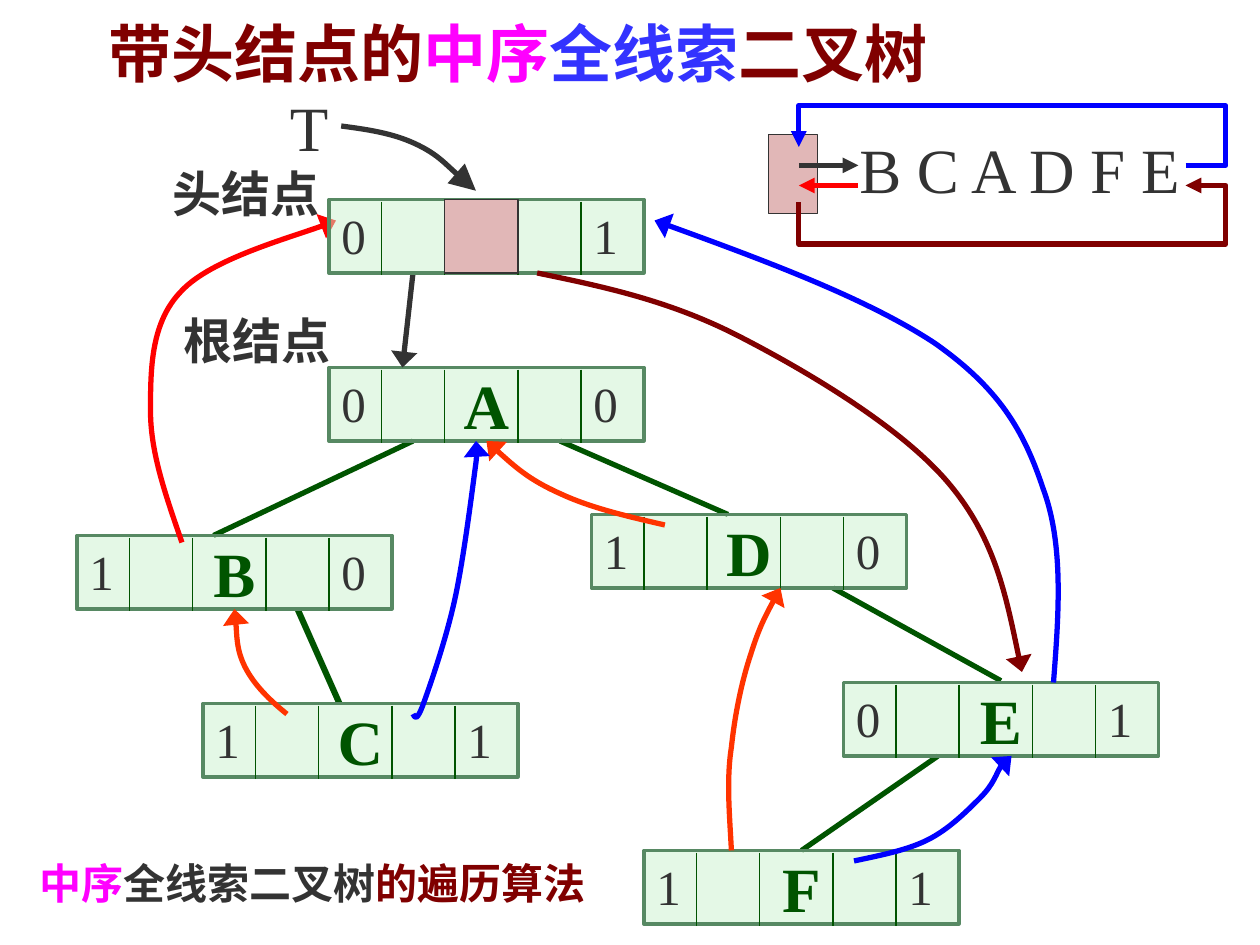
from lxml import etree
from pptx import Presentation
from pptx import util as u
from pptx.dml import color
from pptx.enum import shapes, text
from pptx.oxml import ns

Pt = u.Pt
COLORS = {
    "green": "005400", "border": "578963", "cell": "CAF2CE", "pink": "E1B7B7",
    "gray": "333333", "maroon": "800000", "magenta": "FF00FF", "violet": "3333FF",
    "orange": "FF3300", "blue": "0000FF", "red": "FF0000",
}
FONT = "Times New Roman"
FORMATS = {
    "title": {"name": FONT, "size": Pt(36), "bold": True},
    "letter": {"name": FONT, "size": Pt(36), "bold": True},
    "plain": {"name": FONT, "size": Pt(36), "bold": False},
    "label": {"name": FONT, "size": Pt(28), "bold": True},
    "tag": {"name": FONT, "size": Pt(28), "bold": False},
    "caption": {"name": FONT, "size": Pt(24), "bold": True},
}
# Arrowheads: end of the line, width, length
ARROWS = {
    "start": ("headEnd", "med", "med"), "end": ("tailEnd", "med", "med"),
    "wide": ("tailEnd", "lg", "med"), "large": ("tailEnd", "lg", "lg"),
}
NODE_WIDTH, NODE_HEIGHT = 180, 42
DIVIDERS = (30, 66, 108, 144)

# Tree nodes: letter, left, top, left tag, right tag
NODES = [
    ("A", 188, 210, "0", "0"), ("B", 44, 306, "1", "0"),
    ("D", 338, 294, "1", "0"), ("C", 116, 402, "1", "1"),
    ("E", 482, 390, "0", "1"), ("F", 368, 486, "1", "1"),
]
# Child links: start, end, width
EDGES = [
    ((236, 252), (122, 306), 3), ((320, 252), (416, 294), 3),
    ((170, 348), (194, 402), 3.5), ((476, 336), (572, 389), 3),
    ((536, 432), (458, 486), 3),
]
# Threads: colour, then a start point and Bezier points in threes
THREADS = [
    ("orange", [(164, 408), (154, 400), (145, 391), (140, 381),
                (135, 371), (135, 353), (134, 348)]),
    ("orange", [(418, 486), (417, 466), (415, 446), (418, 427), (420, 408),
                (424, 389), (429, 374), (434, 358), (440, 347), (446, 336)]),
    ("blue", [(488, 492), (502, 489), (518, 486), (530, 480), (542, 474),
              (552, 464), (560, 456), (568, 448), (574, 430), (578, 432)]),
    ("orange", [(380, 300), (358, 295), (337, 290), (320, 282),
                (302, 274), (290, 263), (278, 252)]),
    ("blue", [(236, 408), (237, 410), (238, 413), (242, 402), (246, 391),
              (255, 365), (260, 342), (265, 319), (270, 279), (272, 264),
              (273.5, 249), (268.5, 248), (272, 252)]),
    ("red", [(104, 310), (95, 284), (86, 259), (86, 235), (86, 211),
             (86, 184), (104, 166), (121, 148), (179, 132), (192, 126)]),
    ("blue", [(602, 390), (605, 351), (608, 311), (596, 279), (585, 246),
              (571, 222), (534, 196), (496, 171), (435, 148), (374, 126)]),
]
POINTER_CURVE = [(195, 72), (210, 74), (224, 76), (237, 82),
                 (250, 88), (269, 107), (272, 109)]
HEAD_TO_E = [(307, 156), (346, 164), (383, 172), (422, 192), (461, 212),
             (515, 244), (542, 276), (569, 308), (576, 346), (584, 384)]


def rgb(name):
    return color.RGBColor.from_string(COLORS[name])


def style_line(shape, color_name, width, arrow=None):
    shape.line.color.rgb = rgb(color_name)
    shape.line.width = Pt(width)
    if arrow:
        end, head_width, head_length = ARROWS[arrow]
        line = shape.line._get_or_add_ln()
        etree.SubElement(line, ns.qn("a:round"))
        etree.SubElement(line, ns.qn(f"a:{end}"), type="triangle",
                         w=head_width, len=head_length)


def add_line(container, start, end, color_name, width, arrow=None):
    connector = container.add_connector(
        shapes.MSO_CONNECTOR.STRAIGHT, *(Pt(value) for value in start + end))
    style_line(connector, color_name, width, arrow)
    etree.SubElement(connector._element.spPr, ns.qn("a:effectLst"))


def add_path(slide, points, color_name, arrow="wide", curved=True):
    points = [(Pt(x), Pt(y)) for x, y in points]
    builder = slide.shapes.build_freeform(*points[0])
    builder.add_line_segments(points[1:], close=False)
    shape = builder.convert_to_shape()
    shape.shadow.inherit = False
    shape.fill.background()
    style_line(shape, color_name, 3, arrow)
    if curved:
        # Turn each three segments into one Bezier curve
        segments = list(shape._element.iter(ns.qn("a:lnTo")))
        for index in range(0, len(segments), 3):
            curve = etree.Element(ns.qn("a:cubicBezTo"))
            segments[index].addprevious(curve)
            for segment in segments[index:index + 3]:
                curve.append(segment[0])
                segment.getparent().remove(segment)


def add_box(container, left, top, width, height, fill, line, line_width, alpha=None):
    shape = container.add_shape(
        shapes.MSO_SHAPE.RECTANGLE, Pt(left), Pt(top), Pt(width), Pt(height))
    shape.shadow.inherit = False
    shape.fill.solid()
    shape.fill.fore_color.rgb = rgb(fill)
    if alpha:
        fill_color = shape._element.spPr.find(ns.qn("a:solidFill"))[0]
        etree.SubElement(fill_color, ns.qn("a:alpha"), val=str(alpha * 1000))
    style_line(shape, line, line_width)
    return shape


def write(shape, runs, format_name, wrap=True, indent=7.2, spacing=None,
          align=text.PP_ALIGN.LEFT, anchor=text.MSO_ANCHOR.TOP):
    frame = shape.text_frame
    frame.auto_size = text.MSO_AUTO_SIZE.NONE
    frame.word_wrap = wrap
    frame.margin_left = Pt(indent)
    frame.vertical_anchor = anchor
    paragraph = frame.paragraphs[0]
    paragraph.alignment = align
    paragraph.line_spacing = spacing
    for words, color_name in runs:
        run = paragraph.add_run()
        run.text = words
        run.font.color.rgb = rgb(color_name)
        for key, value in FORMATS[format_name].items():
            setattr(run.font, key, value)


def add_text(slide, left, top, width, height, runs, format_name, **options):
    box = slide.shapes.add_textbox(Pt(left), Pt(top), Pt(width), Pt(height))
    write(box, runs, format_name, **options)


def add_node(slide, letter, left, top, left_tag, right_tag):
    group = slide.shapes.add_group_shape().shapes
    box = add_box(group, left, top, NODE_WIDTH, NODE_HEIGHT, "cell", "border", 2, alpha=50)
    if letter:
        write(box, [(letter, "green")], "letter", wrap=False,
              align=text.PP_ALIGN.CENTER, anchor=text.MSO_ANCHOR.MIDDLE)
    for offset in DIVIDERS:
        x = left + offset
        add_line(group, (x, top + 1.2), (x, top + 43.2), "green", 1)
    for x, tag in ((left, left_tag), (left + DIVIDERS[-1], right_tag)):
        add_text(slide, x, top, 36, 41, [(tag, "gray")], "tag")


def add_title(slide):
    title = slide.shapes.title
    title.left, title.top, title.width, title.height = Pt(55), Pt(-4), Pt(500), Pt(59)
    write(title, [("带头结点的", "maroon"), ("中序", "magenta"),
                  ("全线索", "violet"), ("二叉树", "maroon")],
          "title", spacing=1.2)


def add_sequence(slide):
    add_text(slide, 467, 71, 250, 50, [("B C A D F E", "gray")], "plain", indent=24)
    add_box(slide.shapes, 439, 77, 28, 45, "pink", "gray", 0.75)
    add_line(slide.shapes, (456.5, 106), (490.5, 106), "red", 3, "start")
    add_path(slide, [(677.5, 94.5), (700.5, 94.5), (700.5, 60.5), (456.5, 60.5),
                     (456.5, 84)], "blue", arrow="end", curved=False)
    add_line(slide.shapes, (456.5, 94.5), (490.5, 94.5), "gray", 3, "end")
    add_path(slide, [(677.5, 106), (700.5, 106), (700.5, 139.5), (456.5, 139.5),
                     (456.5, 115.5)], "maroon", arrow="start", curved=False)


def main():
    presentation = Presentation()
    presentation.slide_width, presentation.slide_height = Pt(720), Pt(540)
    slide = presentation.slides.add_slide(presentation.slide_layouts[5])
    add_title(slide)

    # Tree and its threads
    for start, end, width in EDGES:
        add_line(slide.shapes, start, end, "green", width)
    for node in NODES:
        add_node(slide, *node)
    for color_name, points in THREADS:
        add_path(slide, points, color_name)
    add_line(slide.shapes, (236, 156), (230, 210), "gray", 3, "wide")
    add_text(slide, 98, 174, 120, 41, [("根结点", "gray")], "label")

    # Head node and pointer T
    add_node(slide, None, 188, 114, "0", "1")
    add_box(slide.shapes, 254, 114, 42, 42, "pink", "gray", 1)
    add_text(slide, 91.5, 90, 120, 41, [("头结点", "gray")], "label")
    add_text(slide, 158.5, 47, 130, 50, [("T", "gray")], "plain")
    add_path(slide, POINTER_CURVE, "gray", arrow="large")
    add_path(slide, HEAD_TO_E, "maroon")

    # Traversal order and caption
    add_sequence(slide)
    add_text(slide, 9.5, 479.5, 337, 44,
             [("中序", "magenta"), ("全线索二叉树", "gray"), ("的遍历算法", "maroon")],
             "caption", wrap=False, indent=13.2, spacing=1.25)
    presentation.save("out.pptx")


if __name__ == "__main__":
    main()
